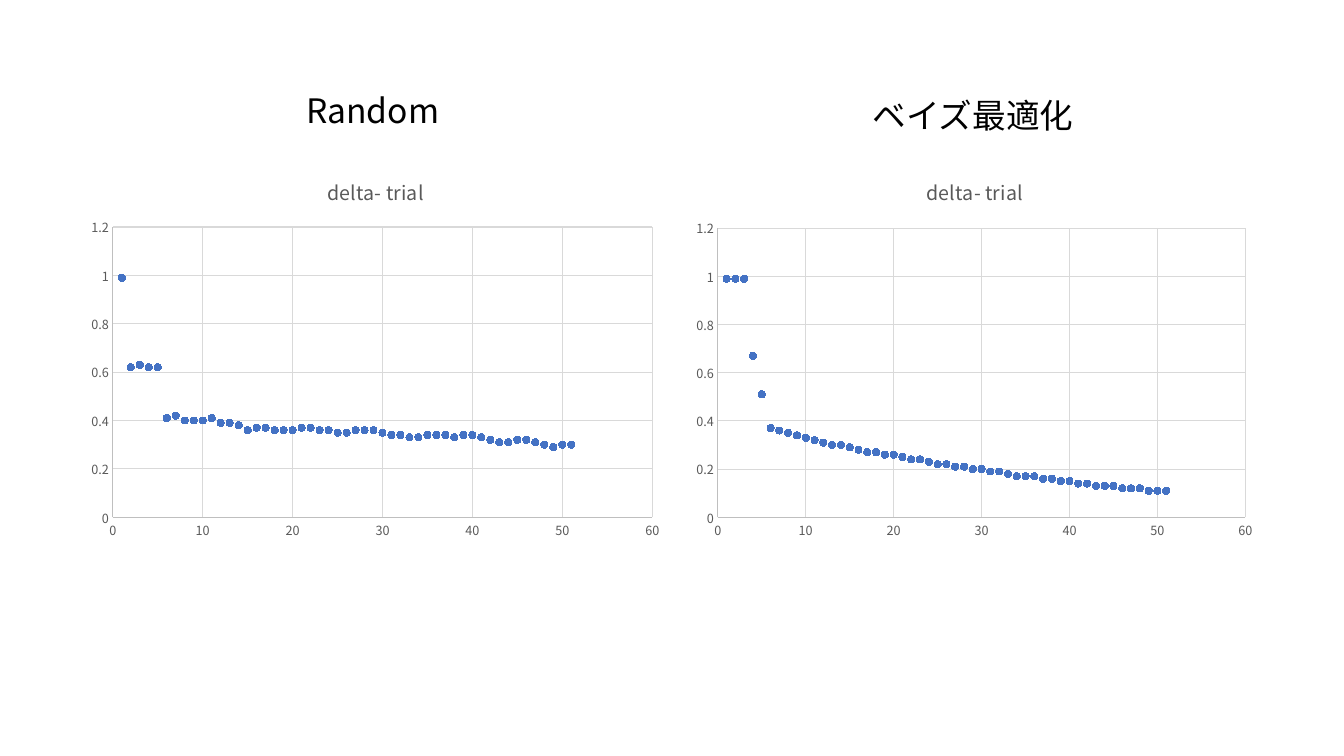
from dataclasses import dataclass

from lxml import etree
from pptx import Presentation
from pptx import util as u
from pptx.chart.data import XyChartData
from pptx.dml.color import RGBColor
from pptx.enum import chart as ch, text
from pptx.oxml import parse_xml
from pptx.oxml.ns import nsdecls, qn


@dataclass(frozen=True)
class Theme:
    font: str = "Noto Sans CJK JP"
    ink: str = "000000"
    label: str = "595959"
    axis: str = "BFBFBF"
    grid: str = "D9D9D9"
    marker: str = "4472C4"
    heading_size: int = 24
    title_size: int = 14
    tick_size: int = 9


THEME = Theme()
PLOT_LEFT, PLOT_WIDTH, PLOT_BOTTOM = 0.056, 0.912, 0.923

RANDOM = [
    0.99, 0.62, 0.63, 0.62, 0.62, 0.41, 0.42, 0.4, 0.4, 0.4, 0.41, 0.39, 0.39,
    0.38, 0.36, 0.37, 0.37, 0.36, 0.36, 0.36, 0.37, 0.37, 0.36, 0.36, 0.35, 0.35,
    0.36, 0.36, 0.36, 0.35, 0.34, 0.34, 0.33, 0.33, 0.34, 0.34, 0.34, 0.33, 0.34,
    0.34, 0.33, 0.32, 0.31, 0.31, 0.32, 0.32, 0.31, 0.3, 0.29, 0.3, 0.3,
]
BAYES = [
    0.99, 0.99, 0.99, 0.67, 0.51, 0.37, 0.36, 0.35, 0.34, 0.33, 0.32, 0.31, 0.3,
    0.3, 0.29, 0.28, 0.27, 0.27, 0.26, 0.26, 0.25, 0.24, 0.24, 0.23, 0.22, 0.22,
    0.21, 0.21, 0.2, 0.2, 0.19, 0.19, 0.18, 0.17, 0.17, 0.17, 0.16, 0.16, 0.15,
    0.15, 0.14, 0.14, 0.13, 0.13, 0.13, 0.12, 0.12, 0.12, 0.11, 0.11, 0.11,
]


def style_font(font, size, color):
    font.name = THEME.font
    font.size = u.Pt(size)
    font.bold = False
    font.color.rgb = RGBColor.from_string(color)


def style_line(line, color):
    line.color.rgb = RGBColor.from_string(color)
    line.width = u.Pt(0.75)


def add_heading(s, words, left, top, width):
    tf = s.shapes.add_textbox(u.Pt(left), u.Pt(top), u.Pt(width), u.Pt(36)).text_frame
    tf.word_wrap = False
    tf.auto_size = text.MSO_AUTO_SIZE.SHAPE_TO_FIT_TEXT
    tf.text = words
    r = tf.paragraphs[0].runs[0]
    style_font(r.font, THEME.heading_size, THEME.ink)
    etree.SubElement(r.font._element, qn("a:ea")).set("typeface", THEME.font)


def style_axis(axis, maximum, step):
    axis.minimum_scale, axis.maximum_scale, axis.major_unit = 0, maximum, step
    axis.major_tick_mark = axis.minor_tick_mark = ch.XL_TICK_MARK.NONE
    axis.has_major_gridlines = True
    style_line(axis.major_gridlines.format.line, THEME.grid)
    style_line(axis.format.line, THEME.axis)
    labels = axis.tick_labels
    labels.number_format, labels.number_format_is_linked = "General", False
    style_font(labels.font, THEME.tick_size, THEME.label)


def place_plot(chart, top):
    """Fix the inner plot area, in fractions of the chart frame."""
    area = chart._chartSpace.chart.plotArea
    for old in area.findall(qn("c:layout")):
        area.remove(old)
    sides = {"x": PLOT_LEFT, "y": top, "w": PLOT_WIDTH, "h": round(PLOT_BOTTOM - top, 3)}
    places = "".join(f'<c:{k} val="{v}"/>' for k, v in sides.items())
    area.insert(0, parse_xml(
        f'<c:layout {nsdecls("c")}><c:manualLayout><c:layoutTarget val="inner"/>'
        f'<c:xMode val="edge"/><c:yMode val="edge"/>{places}</c:manualLayout></c:layout>'))


def add_scatter(s, values, left, width, plot_top):
    data = XyChartData()
    points = data.add_series("Series 1")
    for trial, delta in enumerate(values, 1):
        points.add_data_point(trial, delta)
    chart = s.shapes.add_chart(ch.XL_CHART_TYPE.XY_SCATTER, u.Pt(left), u.Pt(113),
                               u.Pt(width), u.Pt(278), data).chart
    chart.has_legend = False
    chart.has_title = True
    tf = chart.chart_title.text_frame
    tf.text = "delta- trial"
    style_font(tf.paragraphs[0].runs[0].font, THEME.title_size, THEME.label)
    chart.chart_title.include_in_layout = False
    style_axis(chart.category_axis, 60, 10)
    style_axis(chart.value_axis, 1.2, 0.2)
    place_plot(chart, plot_top)

    chart.plots[0].vary_by_categories = False
    series = chart.plots[0].series[0]
    series.format.line.fill.background()
    marker = series.marker
    marker.style, marker.size = ch.XL_MARKER_STYLE.CIRCLE, 5
    marker.format.fill.solid()
    marker.format.fill.fore_color.rgb = RGBColor.from_string(THEME.marker)
    style_line(marker.format.line, THEME.marker)


def main():
    prs = Presentation()
    prs.slide_width, prs.slide_height = u.Pt(960), u.Pt(540)
    s = prs.slides.add_slide(prs.slide_layouts[6])
    add_scatter(s, BAYES, 489.6, 413.3, 0.18)
    add_scatter(s, RANDOM, 56.9, 422.6, 0.177)
    add_heading(s, "Random", 211.7, 60.5, 113.8)
    add_heading(s, "ベイズ最適化", 616.3, 64.1, 159.8)
    prs.save("out.pptx")


if __name__ == "__main__":
    main()
